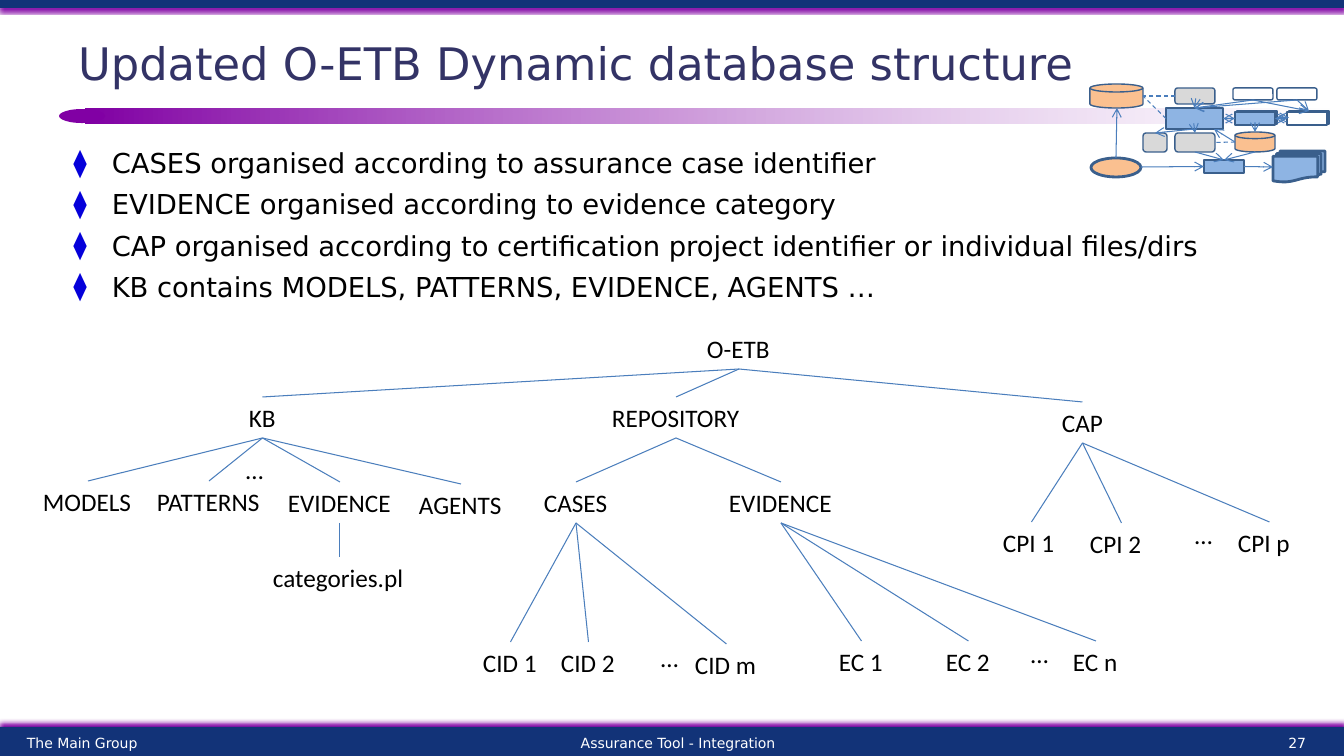
from lxml.etree import SubElement
from pptx import Presentation
from pptx.dml.color import RGBColor
from pptx.enum.dml import MSO_LINE
from pptx.enum.shapes import MSO_CONNECTOR, MSO_SHAPE
from pptx.enum.text import MSO_ANCHOR, MSO_AUTO_SIZE, PP_ALIGN
from pptx.oxml.ns import qn
from pptx.util import Inches, Pt

PX = Inches(7.5) / 756
SANS, LABEL = "DejaVu Sans", "Calibri"
NAVY, PURPLE, WHITE, BLACK = "123378", "8100A4", "FFFFFF", "000000"
BLUE, ORANGE, GREY = "8EB4E3", "FAC090", "D9D9D9"
OUTLINE, LINK = "3A5F8C", "4B7EBC"
TOP, LEFT, BOTTOM, RIGHT = range(4)


def px(*values):
    return [round(v * PX) for v in values]


def rgb(color):
    return RGBColor.from_string(color)


class SlideBuilder:
    def __init__(self, prs):
        self.s = prs.slides.add_slide(prs.slide_layouts[1])

    def run(self, p, text, size, color, font):
        r = p.add_run()
        r.text = text
        r.font.size, r.font.name = Pt(size), font
        r.font.color.rgb = rgb(color)

    def place(self, sp, box):
        sp.left, sp.top, sp.width, sp.height = px(*box)
        sp.text_frame.auto_size = MSO_AUTO_SIZE.NONE
        return sp.text_frame

    def title(self, text, box):
        tf = self.place(self.s.shapes.title, box)
        tf.vertical_anchor = MSO_ANCHOR.MIDDLE
        p = tf.paragraphs[0]
        p.alignment = PP_ALIGN.LEFT
        self.run(p, text, 32, "333366", SANS)

    def bullets(self, items, box):
        tf = self.place(self.s.placeholders[1], box)
        tf.vertical_anchor = MSO_ANCHOR.TOP
        for i, item in enumerate(items):
            p = tf.add_paragraph() if i else tf.paragraphs[0]
            p.level = 1
            p.space_before = Pt(6 if i else 0)
            pPr = p._p.get_or_add_pPr()
            pPr.set("marL", str(Inches(0.88)))
            pPr.set("indent", str(Inches(-0.38)))
            clr = SubElement(pPr, qn("a:buClr"))
            SubElement(clr, qn("a:srgbClr"), val="0500DA")
            SubElement(pPr, qn("a:buChar"), char="⧫")
            self.run(p, item, 19.6, BLACK, SANS)

    def text(self, text, box, size=18, color=BLACK, font=LABEL,
             align=PP_ALIGN.LEFT, wrap=True, grow=False):
        sp = self.s.shapes.add_textbox(*px(*box))
        tf = sp.text_frame
        tf.word_wrap = wrap
        if grow:
            tf.auto_size = MSO_AUTO_SIZE.SHAPE_TO_FIT_TEXT
        else:
            tf.vertical_anchor = MSO_ANCHOR.MIDDLE
        p = tf.paragraphs[0]
        p.alignment = align
        self.run(p, text, size, color, font)
        return sp

    def shape(self, kind, box, fill=None, line=None, width=1):
        sp = self.s.shapes.add_shape(kind, *px(*box))
        sp.shadow.inherit = False
        if fill:
            sp.fill.solid()
            sp.fill.fore_color.rgb = rgb(fill)
        else:
            sp.fill.background()
        if line:
            sp.line.color.rgb = rgb(line)
            sp.line.width = Pt(width)
        else:
            sp.line.fill.background()
        return sp

    def glowing_bar(self, box, distance, degrees):
        sp = self.shape(MSO_SHAPE.RECTANGLE, box, NAVY)
        effects = sp._element.spPr.find(qn("a:effectLst"))
        shadow = SubElement(effects, qn("a:outerShdw"), blurRad=str(Pt(3)),
                            dist=str(Pt(distance)), dir=str(degrees * 60000),
                            rotWithShape="0")
        SubElement(shadow, qn("a:srgbClr"), val=PURPLE)

    def fading_bar(self, box):
        sp = self.shape(MSO_SHAPE.ROUNDED_RECTANGLE, box)
        sp.adjustments[0] = 0.02
        sp.fill.gradient()
        sp.fill.gradient_angle = 0
        for stop, color, position in zip(sp.fill.gradient_stops, (PURPLE, WHITE), (0, 1)):
            stop.color.rgb = rgb(color)
            stop.position = position
        last = sp._element.spPr.findall(".//" + qn("a:srgbClr"))[-1]
        SubElement(last, qn("a:alpha"), val="50000")

    def link(self, start, end, arrows=(), dashed=False):
        points = [(0, 0) if hasattr(e[0], "shape_id") else e for e in (start, end)]
        c = self.s.shapes.add_connector(MSO_CONNECTOR.STRAIGHT, *px(*points[0], *points[1]))
        for e, join in ((start, c.begin_connect), (end, c.end_connect)):
            if hasattr(e[0], "shape_id"):
                join(*e)
        c.line.color.rgb = rgb(LINK)
        c.line.width = Pt(0.75)
        if dashed:
            c.line.dash_style = MSO_LINE.DASH
        for arrow in arrows:
            SubElement(c.line._get_or_add_ln(), qn("a:" + arrow), type="arrow")
        SubElement(c._element.spPr, qn("a:effectLst"))

    def tree(self, node, parent=None):
        text, x, y, w, *children = node
        wrap = text.startswith(("CPI", "categories"))
        sp = self.text(text, (x, y, w, 41), wrap=wrap, grow=True)
        if parent:
            self.link((parent, BOTTOM), (sp, TOP))
        for child in children:
            self.tree(child, sp)


def draw_overview(b):
    disk, process = MSO_SHAPE.FLOWCHART_MAGNETIC_DISK, MSO_SHAPE.FLOWCHART_PROCESS
    rect, rounded = MSO_SHAPE.RECTANGLE, MSO_SHAPE.ROUNDED_RECTANGLE
    layout = {
        "store": (disk, (1090, 84, 53, 24), ORANGE),
        "archive": (disk, (1235, 132, 40, 20), ORANGE),
        "core": (process, (1166, 108, 57, 21), BLUE),
        "lower": (rounded, (1175, 133, 40, 19), GREY),
        "upper": (rounded, (1175, 88, 40, 16), GREY),
        "input1": (rounded, (1233, 88, 40, 12), None),
        "input2": (rounded, (1277, 88, 40, 12), None),
        "agent_back": (rect, (1237, 111, 40, 13), BLUE),
        "agent": (process, (1235, 112, 40, 13), BLUE),
        "client_back": (rect, (1289, 111, 40, 13), None),
        "client": (process, (1287, 112, 40, 13), WHITE),
        "side": (rounded, (1143, 133, 24, 19), GREY),
        "tool": (rect, (1204, 160, 40, 13), BLUE),
        "documents": (MSO_SHAPE.FLOWCHART_MULTIDOCUMENT, (1273, 151, 52, 31), BLUE, 2),
        "user": (MSO_SHAPE.OVAL, (1091, 158, 50, 19), ORANGE, 2),
    }
    n = {name: b.shape(kind, box, fill, OUTLINE, *width)
         for name, (kind, box, fill, *width) in layout.items()}
    store_side, archive_side = (1143, 96), (1235, 142)
    core_top, core_bottom = (n["core"], TOP), (n["core"], BOTTOM)
    tool_top = (n["tool"], TOP)
    input1, input2 = (n["input1"], BOTTOM), (n["input2"], BOTTOM)
    client_top = (n["client_back"], TOP)
    one_way = [
        ((n["upper"], BOTTOM), core_top),
        (core_bottom, (n["lower"], TOP)),
        (core_bottom, (n["side"], TOP)),
        ((n["agent"], BOTTOM), (1255, 132)),
        (input1, client_top), (input2, client_top),
        (input1, core_top), (input2, core_top),
        ((n["tool"], RIGHT), (1273, 167)),
        ((n["lower"], BOTTOM), tool_top),
        ((1255, 152), tool_top),
        ((1116, 158), (1117, 108)),
        ((1141, 167), (n["tool"], LEFT)),
        (archive_side, (1214, 129)),
    ]
    for start, end in one_way:
        b.link(start, end, ["tailEnd"])
    for left, right in (("core", "agent"), ("agent", "client"), ("agent_back", "client_back")):
        b.link((n[left], RIGHT), (n[right], LEFT), ["headEnd", "tailEnd"])
    for start, end in (((n["upper"], LEFT), store_side),
                       (archive_side, (n["lower"], RIGHT)),
                       ((n["core"], LEFT), store_side)):
        b.link(start, end, dashed=True)


DATABASE = (
    "O-ETB", 697, 328, 84,
    ("KB", 239, 397, 47,
     ("MODELS", 33, 481, 110),
     ("PATTERNS", 147, 481, 124),
     ("EVIDENCE", 278, 482, 124, ("categories.pl", 263, 557, 154)),
     ("AGENTS", 409, 484, 104)),
    ("REPOSITORY", 602, 397, 148,
     ("CASES", 534, 482, 84,
      ("CID 1", 473, 642, 75), ("CID 2", 551, 642, 75), ("CID m", 685, 644, 83)),
     ("EVIDENCE", 719, 482, 124,
      ("EC 1", 829, 641, 65), ("EC 2", 936, 641, 65), ("EC n", 1063, 641, 66))),
    ("CAP", 1052, 402, 61,
     ("CPI 1", 993, 522, 77), ("CPI 2", 1080, 523, 83), ("CPI p", 1228, 522, 83)),
)


def main():
    prs = Presentation()
    prs.slide_width, prs.slide_height = px(1344, 756)
    b = SlideBuilder(prs)
    b.glowing_bar((0, 0, 1344, 8), 2, 90)
    b.glowing_bar((0, 727, 1344, 29), 3, 270)
    b.fading_bar((85, 109, 1244, 14))
    b.shape(MSO_SHAPE.OVAL, (59, 109, 46, 14), PURPLE)
    b.title("Updated O-ETB Dynamic database structure", (68, 15, 1142, 95))
    b.bullets([
        "CASES organised according to assurance case identifier",
        "EVIDENCE organised according to evidence category",
        "CAP organised according to certification project identifier or individual files/dirs",
        "KB contains MODELS, PATTERNS, EVIDENCE, AGENTS …",
    ], (13, 141, 1303, 172))
    for text, x, w, align in (("The Main Group", 17, 313, PP_ALIGN.LEFT),
                              ("Assurance Tool - Integration", 342, 672, PP_ALIGN.CENTER),
                              ("27", 1159, 157, PP_ALIGN.RIGHT)):
        b.text(text, (x, 730, w, 26), 10, WHITE, SANS, align)
    draw_overview(b)
    b.tree(DATABASE)
    for x, y in ((236, 449), (651, 637), (1021, 633), (1185, 514)):
        b.text("…", (x, y, 43, 41), wrap=False, grow=True)
    prs.save("out.pptx")


if __name__ == "__main__":
    main()
